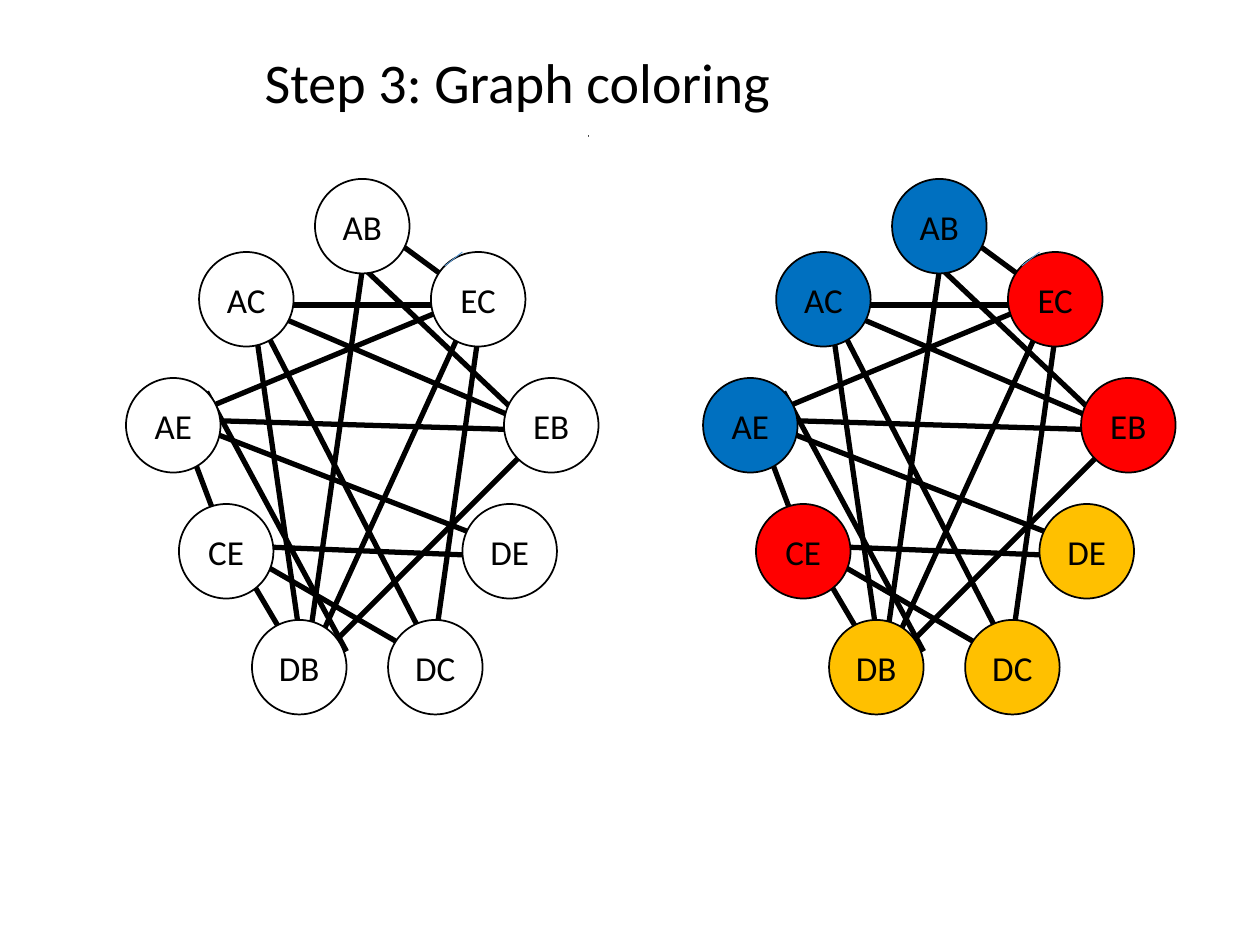
"""Build a slide showing a conflict graph before and after coloring."""
from dataclasses import dataclass

from lxml.etree import SubElement
from pptx import Presentation
from pptx.dml.color import RGBColor
from pptx.enum.shapes import MSO_CONNECTOR, MSO_SHAPE
from pptx.enum.text import MSO_ANCHOR, MSO_AUTO_SIZE, PP_ALIGN
from pptx.oxml.ns import qn
from pptx.util import Inches, Pt

COLORS = {"black": "000000", "white": "FFFFFF", "blue": "0070C0",
          "red": "FF0000", "gold": "FFC000", "accent": "5B9BD5"}
DIAMETER = 0.75
GRAPH_SHIFT = 4.58


@dataclass(frozen=True)
class Node:
    label: str
    x: float
    y: float
    color: str


@dataclass(frozen=True)
class Edge:
    x1: float
    y1: float
    x2: float
    y2: float
    color: str = "black"
    width: float = 3


NODES = [
    Node("AB", 2.5, 1.42, "blue"),
    Node("EC", 3.42, 2, "red"),
    Node("EB", 4, 3, "red"),
    Node("DE", 3.67, 4, "gold"),
    Node("DC", 3.08, 4.92, "gold"),
    Node("DB", 2, 4.92, "gold"),
    Node("CE", 1.42, 4, "red"),
    Node("AE", 1, 3, "blue"),
    Node("AC", 1.58, 2, "blue"),
]

EDGES = [
    Edge(3.83, 2.42, 3.42, 5.33),
    Edge(4.42, 3.33, 2.42, 5.33),
    Edge(3.75, 2.42, 2.42, 5.33),
    Edge(1.83, 4.33, 2.42, 5.33),
    Edge(1.83, 4.33, 3.42, 5.25),
    Edge(1.83, 4.33, 4.08, 4.42),
    Edge(1.42, 3.33, 1.83, 4.42),
    Edge(1.64, 3.11, 2.75, 5.17),
    Edge(1.42, 3.33, 4, 4.33),
    Edge(1.42, 3.33, 4.42, 3.42),
    Edge(1.42, 3.33, 3.83, 2.33),
    Edge(2, 2.42, 4.33, 3.42),
    Edge(2, 2.42, 3.5, 5.33),
    Edge(2, 2.42, 2.42, 5.33),
    Edge(2.92, 1.83, 2.42, 5.33),
    Edge(2.75, 2, 4.25, 3.42),
    Edge(2, 2.42, 3.83, 2.42),
    Edge(2.92, 1.75, 3.83, 2.42),
]
ACCENT_EDGE = Edge(3.53, 2.11, 3.67, 2, "accent", 0.5)


def rgb(name: str) -> RGBColor:
    return RGBColor.from_string(COLORS[name])


def apply(target, values: dict) -> None:
    for name, value in values.items():
        setattr(target, name, value)


def write_text(tf, text: str, size: float, align, frame_format: dict) -> None:
    apply(tf, frame_format)
    p = tf.paragraphs[0]
    p.alignment = align
    r = p.add_run()
    r.text = text
    apply(r.font, {"name": "Calibri", "size": Pt(size)})
    r.font.color.rgb = rgb("black")


def draw_shape(shapes, kind, box: tuple, fill: str, width: float):
    sp = shapes.add_shape(kind, *map(Inches, box))
    sp.shadow.inherit = False
    sp.fill.solid()
    sp.fill.fore_color.rgb = rgb(fill)
    sp.line.color.rgb = rgb("black")
    sp.line.width = Pt(width)
    return sp


def draw_edge(shapes, edge: Edge, dx: float) -> None:
    ends = (edge.x1 + dx, edge.y1, edge.x2 + dx, edge.y2)
    c = shapes.add_connector(MSO_CONNECTOR.STRAIGHT, *map(Inches, ends))
    c.line.color.rgb = rgb(edge.color)
    c.line.width = Pt(edge.width)
    SubElement(c._element.spPr, qn("a:effectLst"))


def draw_node(shapes, node: Node, dx: float, fill: str) -> None:
    box = (node.x + dx, node.y, DIAMETER, DIAMETER)
    sp = draw_shape(shapes, MSO_SHAPE.OVAL, box, fill, 1)
    write_text(sp.text_frame, node.label, 20, PP_ALIGN.CENTER,
               {"vertical_anchor": MSO_ANCHOR.MIDDLE, "word_wrap": True})


def draw_graph(shapes, dx: float, colored: bool) -> None:
    for edge in EDGES:
        draw_edge(shapes, edge, dx)
    for node in NODES:
        draw_node(shapes, node, dx, node.color if colored else "white")
    draw_edge(shapes, ACCENT_EDGE, dx)


def main() -> None:
    prs = Presentation()
    apply(prs, {"slide_width": Inches(10), "slide_height": Inches(7.5)})
    s = prs.slides.add_slide(prs.slide_layouts[5])
    title = s.shapes.title
    apply(title, {"left": Inches(2), "top": Inches(0.33),
                  "width": Inches(5.67), "height": Inches(0.64)})
    write_text(title.text_frame, "Step 3: Graph coloring", 32, PP_ALIGN.LEFT,
               {"vertical_anchor": MSO_ANCHOR.TOP, "word_wrap": True,
                "auto_size": MSO_AUTO_SIZE.SHAPE_TO_FIT_TEXT})
    draw_shape(s.shapes, MSO_SHAPE.RECTANGLE, (4.67, 1.08, 0, 0), "accent", 0.75)
    draw_graph(s.shapes, GRAPH_SHIFT, colored=True)
    draw_graph(s.shapes.add_group_shape().shapes, 0, colored=False)
    prs.save("out.pptx")


if __name__ == "__main__":
    main()
